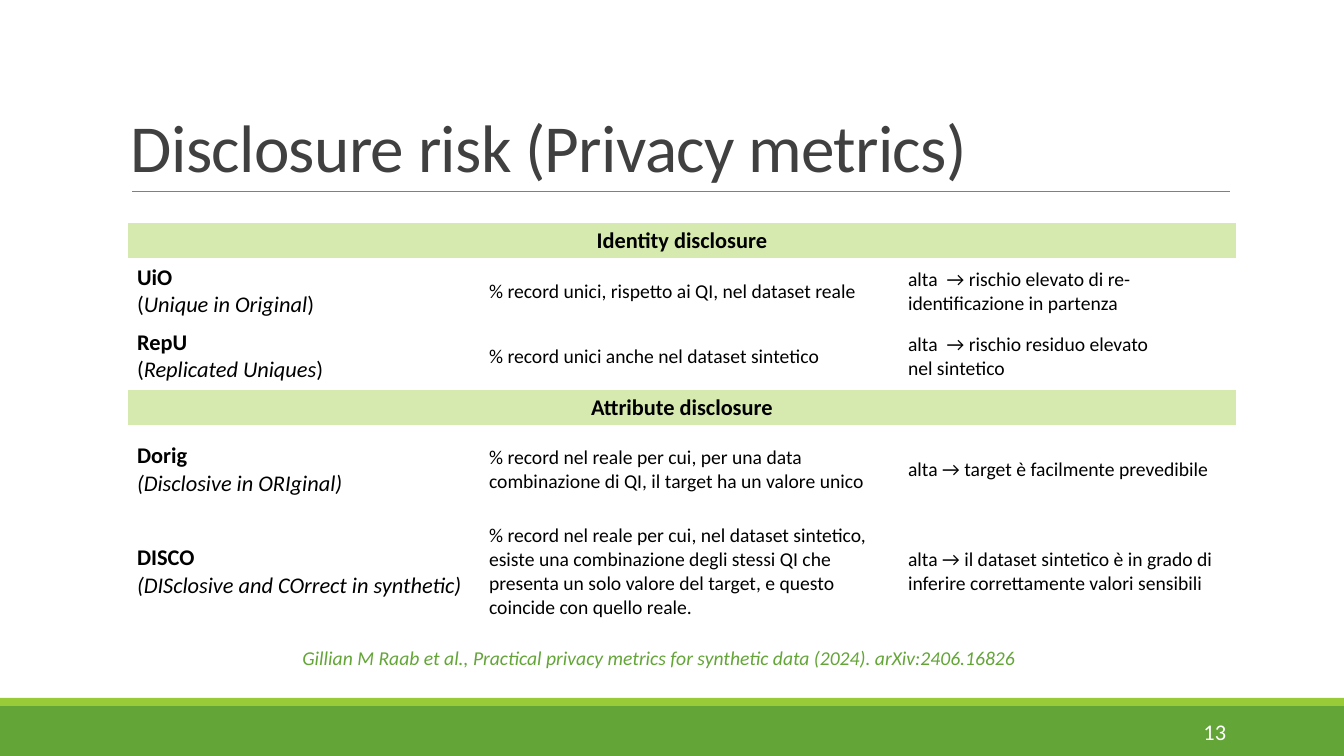
from pptx import Presentation, util as u
from pptx.dml.color import RGBColor
from pptx.enum import shapes, text
from lxml import etree

PX = 914400 / 100.8
GREEN = RGBColor(0x63, 0xA5, 0x37)
LIME = RGBColor(0x99, 0xCB, 0x38)
PALE = RGBColor(0xD6, 0xEA, 0xAF)
GREY = RGBColor(0x80, 0x80, 0x80)
DARK = RGBColor(0x40, 0x40, 0x40)
BLACK = RGBColor(0, 0, 0)
WHITE = RGBColor(255, 255, 255)

HEAD = {"size": u.Pt(16), "bold": True, "italic": False}
PLAIN = {"size": u.Pt(16), "bold": False, "italic": False}
ITALIC = {"size": u.Pt(16), "bold": False, "italic": True}
BODY = {"size": u.Pt(14), "bold": False, "italic": False}

TITLE = "Disclosure risk (Privacy metrics)"
CITATION = " Gillian M Raab et al., Practical privacy metrics for synthetic data (2024). arXiv:2406.16826"
COLUMNS = [352, 419, 339]
ROWS = [
    (37, "Identity disclosure"),
    (65, "UiO", [("(", PLAIN), ("Unique in Original", ITALIC), (")", PLAIN)],
     "% record unici, rispetto ai QI, nel dataset reale",
     ["alta  → rischio elevato di re-identificazione in partenza"]),
    (65, "RepU", [("(", PLAIN), ("Replicated Uniques", ITALIC), (")", PLAIN)],
     "% record unici anche nel dataset sintetico",
     ["alta  → rischio residuo elevato", "nel sintetico"]),
    (37, "Attribute disclosure"),
    (88, "Dorig", [("(Disclosive in ORIginal)", ITALIC)],
     "% record nel reale per cui, per una data combinazione di QI, il target ha un valore unico",
     ["alta → target è facilmente prevedibile"]),
    (116, "DISCO", [("(DISclosive and COrrect in synthetic)", ITALIC)],
     "% record nel reale per cui, nel dataset sintetico, esiste una combinazione degli stessi QI "
     "che presenta un solo valore del target, e questo coincide con quello reale.",
     ["alta → il dataset sintetico è in grado di inferire correttamente valori sensibili"]),
]
BARS = [((0, 706, 1344, 50), GREEN), ((0, 698, 1344, 8), LIME)]


def px(*lengths):
    return [round(length * PX) for length in lengths]


def write(frame, paragraphs, color=BLACK, **layout):
    for index, spans in enumerate(paragraphs):
        para = frame.paragraphs[0] if index == 0 else frame.add_paragraph()
        for name, value in layout.items():
            setattr(para, name, value)
        for words, style in spans:
            span = para.add_run()
            span.text = words
            span.font.color.rgb = color
            for name, value in {"name": "Calibri", **style}.items():
                setattr(span.font, name, value)


def add_text(page, place, words, style, color, anchor, **layout):
    frame = page.shapes.add_textbox(*px(*place)).text_frame
    frame.word_wrap = True
    frame.vertical_anchor = anchor
    write(frame, [[(words, style)]], color, **layout)
    return frame


def add_metrics(page):
    heights = [row[0] for row in ROWS]
    place = px(127, 222, sum(COLUMNS), sum(heights))
    table = page.shapes.add_table(len(ROWS), len(COLUMNS), *place).table
    table.first_row = table.horz_banding = False
    for column, width in zip(table.columns, px(*COLUMNS)):
        column.width = width
    for r, (height, name, *details) in enumerate(ROWS):
        table.rows[r].height = px(height)[0]
        cells = [table.cell(r, c) for c in range(len(COLUMNS))]
        for cell in cells:
            cell.vertical_anchor = text.MSO_ANCHOR.MIDDLE
            cell.fill.background()
        if details:
            meaning, measure, reading = details
            contents = [[[(name, HEAD)], meaning], [[(measure, BODY)]],
                        [[(line, BODY)] for line in reading]]
            for cell, paragraphs in zip(cells, contents):
                write(cell.text_frame, paragraphs)
        else:
            cells[0].merge(cells[-1])
            cells[0].fill.solid()
            cells[0].fill.fore_color.rgb = PALE
            write(cells[0].text_frame, [[(name, HEAD)]], alignment=text.PP_ALIGN.CENTER)


def main():
    deck = Presentation()
    deck.slide_width, deck.slide_height = px(1344, 756)
    page = deck.slides.add_slide(deck.slide_layouts[6])

    for place, color in BARS:
        bar = page.shapes.add_shape(shapes.MSO_SHAPE.RECTANGLE, *px(*place))
        bar.shadow.inherit = False
        bar.fill.solid()
        bar.fill.fore_color.rgb = color
        bar.line.fill.background()

    rule = page.shapes.add_connector(shapes.MSO_CONNECTOR.STRAIGHT, *px(132, 191, 1230, 191))
    rule.line.color.rgb = GREY
    rule.line.width = u.Pt(0.5)
    etree.SubElement(rule._element.spPr, "{http://schemas.openxmlformats.org/drawingml/2006/main}effectLst")

    add_text(page, (1092, 712, 144, 40), "13", PLAIN, WHITE, text.MSO_ANCHOR.MIDDLE,
             alignment=text.PP_ALIGN.RIGHT)
    add_metrics(page)
    title = add_text(page, (121, 31, 1109, 160), TITLE, {"size": u.Pt(48)}, DARK,
                     text.MSO_ANCHOR.BOTTOM, line_spacing=0.85)
    title.paragraphs[0].runs[0].font._element.set("spc", "-50")
    add_text(page, (288, 637, 803, 36), CITATION, {"size": u.Pt(14), "italic": True}, GREEN,
             text.MSO_ANCHOR.TOP, line_spacing=u.Pt(19.5))
    deck.save("out.pptx")


if __name__ == "__main__":
    main()
